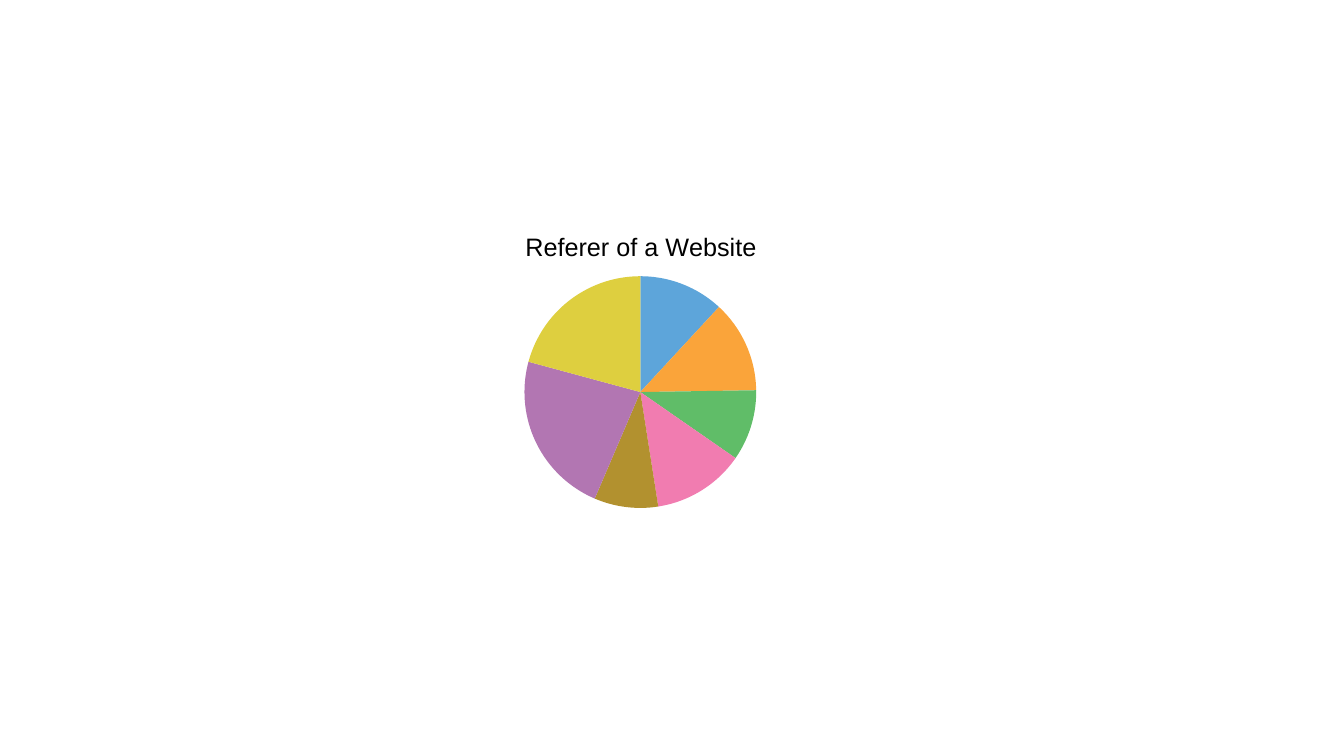
import lxml.etree
import pptx
import pptx.chart.data
import pptx.dml.color
import pptx.enum.chart
import pptx.oxml.ns
import pptx.util

COLORS = {
    "Mon": "5DA5DA",
    "Tue": "FAA43A",
    "Wed": "60BD68",
    "Thu": "F17CB0",
    "Fri": "B2912F",
    "Sat": "B276B2",
    "Sun": "DECF3F",
    "text": "000000",
}
VISITS = {"Mon": 12, "Tue": 13, "Wed": 10, "Thu": 13, "Fri": 9, "Sat": 23, "Sun": 21}
TITLE_FORMAT = {"name": "Arial", "size": pptx.util.Pt(18), "bold": False}
BODY_FORMAT = {"name": "Calibri", "size": pptx.util.Pt(10)}


class Deck:
    """Holds the style and the current slide, and adds elements to it."""

    def __init__(self, slide, colors):
        self.slide = slide
        self.colors = colors

    def color(self, name):
        return pptx.dml.color.RGBColor.from_string(self.colors[name])

    def style(self, font, values):
        for attribute, value in values.items():
            setattr(font, attribute, value)
        font.color.rgb = self.color("text")

    def place(self, parent, index, settings):
        qn = pptx.oxml.ns.qn
        for old in parent.findall(qn("c:layout")):
            parent.remove(old)
        layout = lxml.etree.Element(qn("c:layout"))
        manual = lxml.etree.SubElement(layout, qn("c:manualLayout"))
        for tag, value in settings.items():
            lxml.etree.SubElement(manual, qn(f"c:{tag}")).set("val", str(value))
        parent.insert(index, layout)

    def pie(self, title, shares, left, top, width, height):
        weekdays = pptx.chart.data.CategoryChartData()
        weekdays.categories = list(shares)
        weekdays.add_series("Series 1", list(shares.values()))
        box = [pptx.util.Pt(length) for length in (left, top, width, height)]
        chart = self.slide.shapes.add_chart(
            pptx.enum.chart.XL_CHART_TYPE.PIE, *box, weekdays
        ).chart
        chart.has_legend = False
        self.style(chart.font, BODY_FORMAT)

        heading = chart.chart_title.text_frame
        heading.text = title
        self.style(heading.paragraphs[0].runs[0].font, TITLE_FORMAT)

        pie = chart.plots[0]
        pie.vary_by_categories = True
        for position, day in enumerate(shares):
            wedge = pie.series[0].points[position].format
            wedge.fill.solid()
            wedge.fill.fore_color.rgb = self.color(day)
            wedge.line.fill.background()

        edge = {"xMode": "edge", "yMode": "edge"}
        title_element = chart.chart_title._element
        self.place(title_element, 1, {**edge, "x": 0.18, "y": 0.06})
        plot_area = chart._chartSpace.chart.plotArea
        inner = {"layoutTarget": "inner", **edge}
        self.place(plot_area, 0, {**inner, "x": 0.19, "y": 0.22, "w": 0.63, "h": 0.74})


def main():
    presentation = pptx.Presentation()
    presentation.slide_width = pptx.util.Pt(960)
    presentation.slide_height = pptx.util.Pt(540)
    slide = presentation.slides.add_slide(presentation.slide_layouts[6])
    deck = Deck(slide, COLORS)
    deck.pie("Referer of a Website", VISITS, 324.7, 147.6, 262.8, 224.6)
    presentation.save("out.pptx")


if __name__ == "__main__":
    main()
